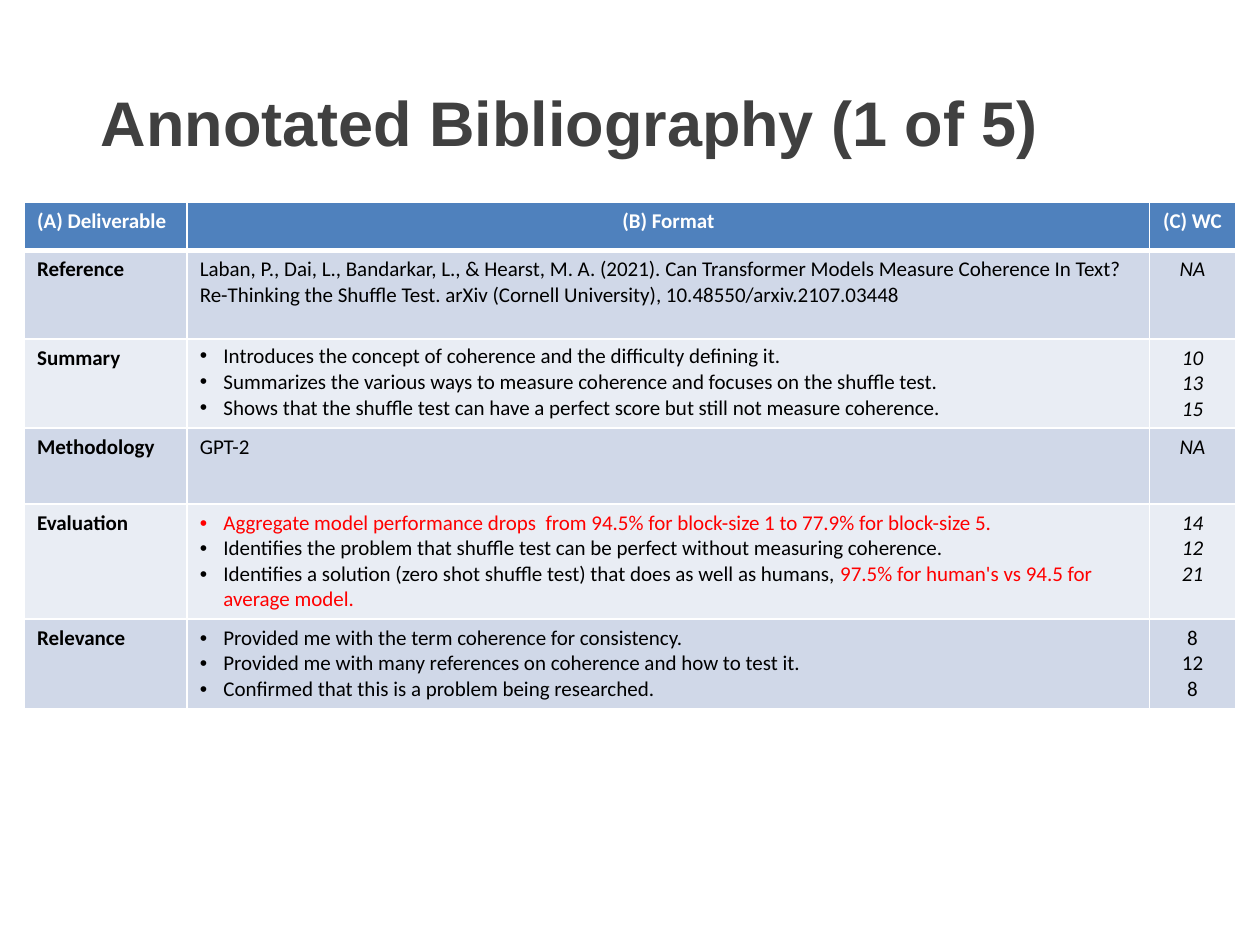
from lxml import etree
from pptx import Presentation
from pptx.dml.color import RGBColor
from pptx.enum.text import MSO_ANCHOR, MSO_AUTO_SIZE, PP_ALIGN
from pptx.oxml.ns import qn
from pptx.util import Pt

LEFT, CENTER = PP_ALIGN.LEFT, PP_ALIGN.CENTER
TOP = MSO_ANCHOR.TOP
NO_AUTOFIT = MSO_AUTO_SIZE.NONE

WHITE = RGBColor(0xFF, 0xFF, 0xFF)
BLACK = RGBColor(0x00, 0x00, 0x00)
RED = RGBColor(0xFF, 0x00, 0x00)
GRAY = RGBColor(0x40, 0x40, 0x40)
HEADER_BLUE = RGBColor(0x4F, 0x81, 0xBD)
BANDS = [RGBColor(0xD0, 0xD8, 0xE8), RGBColor(0xE9, 0xED, 0xF4)]

TITLE_BOX = (50.4, 39.6, 649.4, 82.8)
TABLE_BOX = (14, 115.4, 692, 288.4)
COLUMN_WIDTHS = [93, 550, 49]
ROW_HEIGHTS = [27.8, 50.4, 51, 43.2, 65.4, 50.6]
INDENT = 13.5

HEADERS = ["(A) Deliverable", "(B) Format", "(C) WC"]
ENTRIES = [
    {"name": "Reference",
     "text": [[("Laban, P., Dai, L., Bandarkar, L., & Hearst, M. A. (2021). Can Transformer "
                "Models Measure Coherence In Text? Re-Thinking the Shuffle Test. arXiv "
                "(Cornell University), 10.48550/arxiv.2107.03448", BLACK)]],
     "counts": ["NA"], "bullets": False, "tight": False, "italic": True},
    {"name": "Summary",
     "text": [[("Introduces the concept of coherence and the difficulty defining it.", BLACK)],
              [("Summarizes the various ways to measure coherence and focuses on the "
                "shuffle test.", BLACK)],
              [("Shows that the shuffle test can have a perfect score but still not "
                "measure coherence.", BLACK)]],
     "counts": ["10", "13", "15"], "bullets": True, "tight": True, "italic": True},
    {"name": "Methodology",
     "text": [[("GPT-2", BLACK)]],
     "counts": ["NA"], "bullets": False, "tight": False, "italic": True},
    {"name": "Evaluation",
     "text": [[("Aggregate model performance drops  from 94.5% for block-size 1 to 77.9% "
                "for block-size 5.", RED)],
              [("Identifies the problem that shuffle test can be perfect without measuring "
                "coherence.", BLACK)],
              [("Identifies a solution (zero shot shuffle test) that does as well as "
                "humans, ", BLACK),
               ("97.5% for human's vs 94.5 for average model.", RED)]],
     "counts": ["14", "12", "21"], "bullets": True, "tight": False, "italic": True},
    {"name": "Relevance",
     "text": [[("Provided me with the term coherence for consistency.", BLACK)],
              [("Provided me with many references on coherence and how to test it.", BLACK)],
              [("Confirmed that this is a problem being researched.", BLACK)]],
     "counts": ["8", "12", "8"], "bullets": True, "tight": False, "italic": False},
]


def add_span(para, text, color, size=12, font="Calibri", bold=False, italic=False):
    span = para.add_run()
    span.text = text
    span.font.name = font
    span.font.size = Pt(size)
    span.font.bold = bold
    span.font.italic = italic
    span.font.color.rgb = color


def add_bullet(para):
    properties = para._p.get_or_add_pPr()
    properties.set("marL", str(Pt(INDENT)))
    properties.set("indent", str(-Pt(INDENT)))
    etree.SubElement(properties, qn("a:buFont")).set("typeface", "Arial")
    etree.SubElement(properties, qn("a:buChar")).set("char", "•")


def add_borders(cell, bottom_width):
    properties = cell._tc.get_or_add_tcPr()
    for side, width in (("L", 1), ("R", 1), ("T", 1), ("B", bottom_width)):
        line = etree.SubElement(properties, qn(f"a:ln{side}"), w=str(Pt(width)))
        fill = etree.SubElement(line, qn("a:solidFill"))
        etree.SubElement(fill, qn("a:srgbClr")).set("val", str(WHITE))


def fill_cell(cell, paragraphs, fill, align=LEFT, bold=False, italic=False,
              bullets=False, tight=False, bottom_width=1):
    add_borders(cell, bottom_width)
    cell.fill.solid()
    cell.fill.fore_color.rgb = fill
    frame = cell.text_frame
    for index, spans in enumerate(paragraphs):
        para = frame.add_paragraph() if index else frame.paragraphs[0]
        para.alignment = align
        if bullets:
            add_bullet(para)
        if tight:
            para.line_spacing = 0.9
            para.space_after = Pt(1.8)
        for text, color in spans:
            add_span(para, text, color, bold=bold, italic=italic)


def place_title(page, box):
    title = page.shapes.title
    title.left, title.top, title.width, title.height = map(Pt, box)
    frame = title.text_frame
    frame.word_wrap = True
    frame.auto_size = NO_AUTOFIT
    frame.vertical_anchor = TOP
    frame.margin_top = Pt(8)
    para = frame.paragraphs[0]
    para.alignment = LEFT
    add_span(para, "Annotated Bibliography (1 of 5)", GRAY, size=36, font="Arial", bold=True)


def place_bibliography(page, box):
    table = page.shapes.add_table(len(ROW_HEIGHTS), len(COLUMN_WIDTHS), *map(Pt, box)).table
    for column, width in zip(table.columns, COLUMN_WIDTHS):
        column.width = Pt(width)
    for row, height in zip(table.rows, ROW_HEIGHTS):
        row.height = Pt(height)
    for index, header in enumerate(HEADERS):
        fill_cell(table.cell(0, index), [[(header, WHITE)]], HEADER_BLUE,
                  align=CENTER if index else LEFT, bold=True, bottom_width=3)
    for index, entry in enumerate(ENTRIES):
        band = BANDS[index % 2]
        name, text, counts = table.rows[index + 1].cells
        fill_cell(name, [[(entry["name"], BLACK)]], band, bold=True)
        fill_cell(text, entry["text"], band, bullets=entry["bullets"], tight=entry["tight"])
        fill_cell(counts, [[(count, BLACK)] for count in entry["counts"]], band,
                  align=CENTER, italic=entry["italic"])


def main():
    deck = Presentation()
    deck.slide_width, deck.slide_height = Pt(720), Pt(540)
    page = deck.slides.add_slide(deck.slide_layouts[5])
    place_bibliography(page, TABLE_BOX)
    place_title(page, TITLE_BOX)
    deck.save("out.pptx")


if __name__ == "__main__":
    main()
